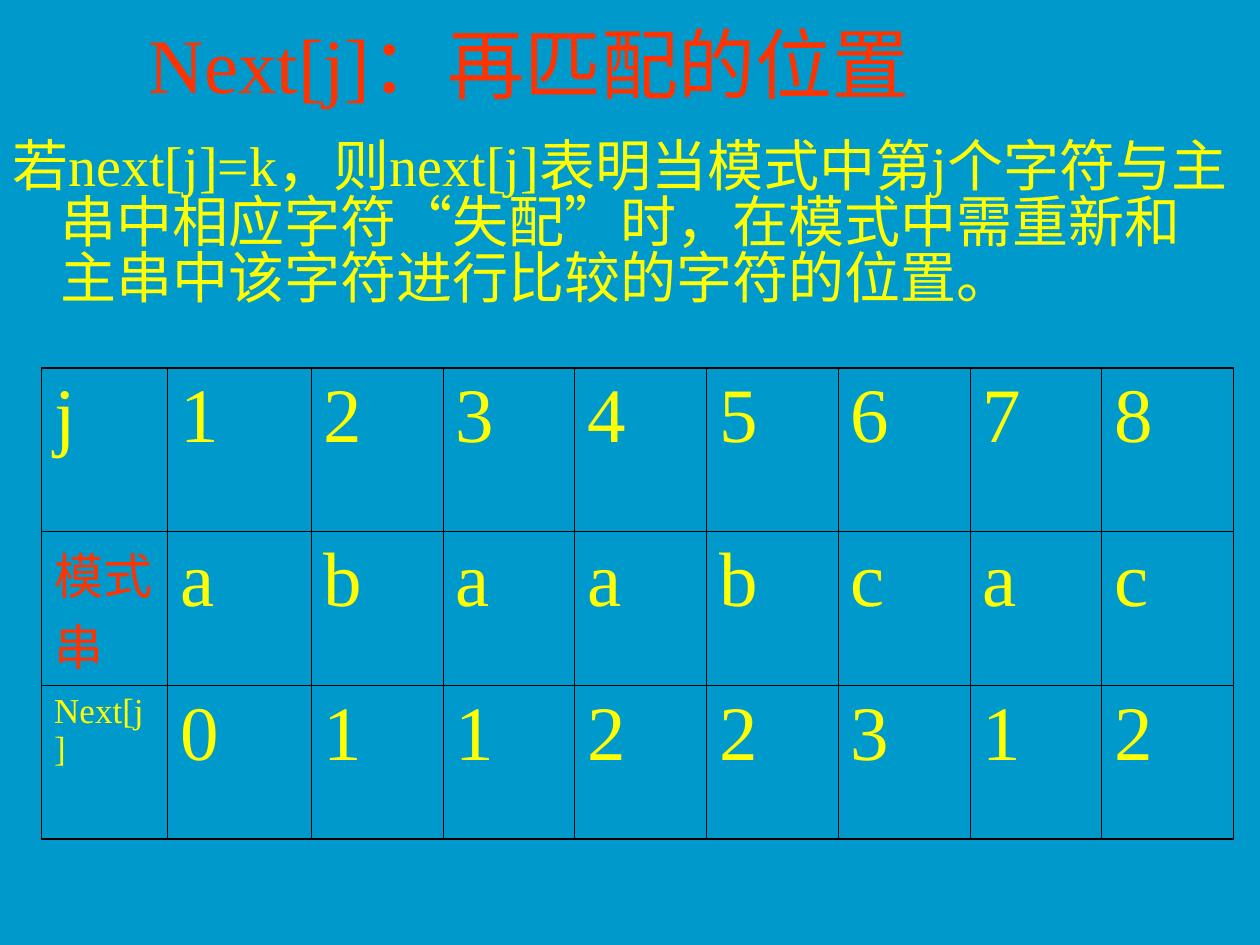
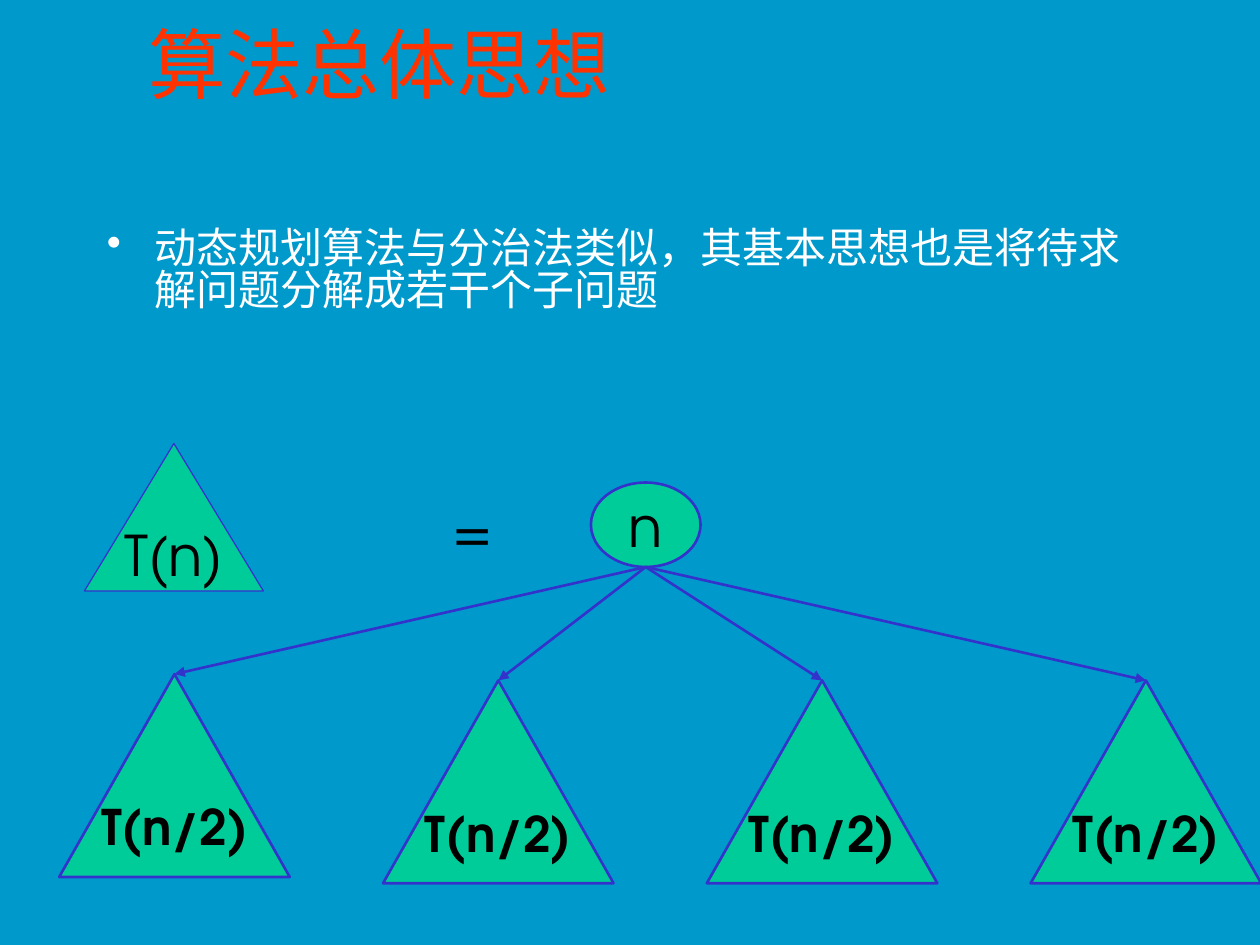
from dataclasses import dataclass

from lxml import etree
from pptx import Presentation
from pptx.dml.color import RGBColor
from pptx.enum.shapes import MSO_CONNECTOR, MSO_SHAPE
from pptx.enum.text import MSO_ANCHOR, PP_ALIGN
from pptx.oxml.ns import qn
from pptx.util import Inches, Pt

OVAL = MSO_SHAPE.OVAL
TRIANGLE = MSO_SHAPE.ISOSCELES_TRIANGLE
STRAIGHT = MSO_CONNECTOR.STRAIGHT
MIDDLE = MSO_ANCHOR.MIDDLE
TOP = MSO_ANCHOR.TOP
LEFT = PP_ALIGN.LEFT
CENTER = PP_ALIGN.CENTER


@dataclass(frozen=True)
class Theme:
    background: str = "0099CC"
    red: str = "FF3300"
    yellow: str = "FFFF00"
    white: str = "FFFFFF"
    black: str = "000000"
    green: str = "00CC99"
    blue: str = "3333CC"
    serif: str = "Times New Roman"
    chinese: str = "Noto Sans CJK SC"
    geometric: str = "TeX Gyre Adventor"
    title_size: float = 44
    lead_size: float = 32
    label_size: float = 28
    body_size: float = 24
    small_size: float = 20
    outline: float = 1.5
    thin_outline: float = 0.75
    outer_border: float = 1.08
    inner_border: float = 0.45
    body_spacing: float = 0.83
    hanging: float = 0.38


def add_child(parent, tag, **attributes):
    return etree.SubElement(parent, qn(tag), attributes)


class SlideBuilder:
    def __init__(self, deck, theme):
        self.deck = deck
        self.theme = theme
        self.page = None

    def new_page(self, title):
        self.page = self.deck.slides.add_slide(self.deck.slide_layouts[6])
        fill = self.page.background.fill
        fill.solid()
        fill.fore_color.rgb = RGBColor.from_string(self.theme.background)
        self.text(title, 1.08, 0.08, 8.5, 0.83, self.theme.title_size,
                  self.theme.red, anchor=MIDDLE)

    def fill_frame(self, frame, text, size, color, font=None, bold=False, align=LEFT):
        frame.text = text
        para = frame.paragraphs[0]
        para.alignment = align
        for span in para.runs:
            span.font.size = Pt(size)
            span.font.bold = bold
            span.font.color.rgb = RGBColor.from_string(color)
            span.font.name = font or self.theme.serif
            add_child(span._r.get_or_add_rPr(), "a:ea", typeface=self.theme.chinese)
        return para

    def text(self, text, left, top, width, height, size, color,
             font=None, align=LEFT, anchor=TOP):
        box = self.page.shapes.add_textbox(
            Inches(left), Inches(top), Inches(width), Inches(height))
        frame = box.text_frame
        frame.word_wrap = True
        frame.vertical_anchor = anchor
        return self.fill_frame(frame, text, size, color, font, align=align)

    def body(self, text, left, top, width, height, size, color,
             font=None, bullet=False):
        """Text with a hanging indent and tight lines."""
        para = self.text(text, left, top, width, height, size, color, font)
        properties = para._p.get_or_add_pPr()
        indent = Inches(self.theme.hanging)
        properties.set("marL", str(indent))
        properties.set("indent", str(-indent))
        if bullet:
            bullet_color = add_child(properties, "a:buClr")
            add_child(bullet_color, "a:srgbClr", val=color)
            add_child(properties, "a:buChar", char="•")
        para.line_spacing = self.theme.body_spacing

    def shape(self, kind, text, left, top, width, height, size,
              bold=False, outline=None):
        shape = self.page.shapes.add_shape(
            kind, Inches(left), Inches(top), Inches(width), Inches(height))
        shape.shadow.inherit = False
        shape.fill.solid()
        shape.fill.fore_color.rgb = RGBColor.from_string(self.theme.green)
        shape.line.color.rgb = RGBColor.from_string(self.theme.blue)
        shape.line.width = Pt(outline or self.theme.outline)
        frame = shape.text_frame
        frame.word_wrap = False
        frame.vertical_anchor = MIDDLE
        self.fill_frame(frame, text, size, self.theme.black, self.theme.geometric,
                        bold, CENTER)
        return shape

    def arrow(self, parent, child):
        """Arrow from the bottom of the parent to the apex of the child."""
        start_x = parent.left + parent.width // 2
        start_y = parent.top + parent.height
        line = self.page.shapes.add_connector(
            STRAIGHT, start_x, start_y, child.left + child.width // 2, child.top)
        line.end_connect(child, 0)
        line.line.color.rgb = RGBColor.from_string(self.theme.blue)
        line.line.width = Pt(self.theme.outline)
        properties = line._element.spPr
        add_child(properties.find(qn("a:ln")), "a:tailEnd", type="triangle")
        add_child(properties, "a:effectLst")

    def border(self, cell, side, width):
        line = add_child(cell._tc.get_or_add_tcPr(), "a:" + side, w=str(Pt(width)))
        fill = add_child(line, "a:solidFill")
        add_child(fill, "a:srgbClr", val=self.theme.black)

    def table(self, rows, left, top, widths, heights, heading_styles):
        """Grid of large yellow values; the first column has its own styles."""
        theme = self.theme
        frame = self.page.shapes.add_table(
            len(heights), len(widths), Inches(left), Inches(top),
            Inches(sum(widths)), Inches(sum(heights)))
        table = frame.table
        table.first_row = False
        table.horz_banding = False
        for column, width in zip(table.columns, widths):
            column.width = Inches(width)
        for row, height in zip(table.rows, heights):
            row.height = Inches(height)
        last_row, last_column = len(heights) - 1, len(widths) - 1
        for i, values in enumerate(rows):
            for j, value in enumerate(values):
                cell = table.cell(i, j)
                size, color = (theme.title_size, theme.yellow) if j else heading_styles[i]
                self.fill_frame(cell.text_frame, value, size, color)
                outer_sides = {"lnL": j == 0, "lnR": j == last_column,
                               "lnT": i == 0, "lnB": i == last_row}
                for side, is_outer in outer_sides.items():
                    self.border(cell, side, theme.outer_border if is_outer
                                else theme.inner_border)
                cell.fill.background()


def build_next_table(builder):
    theme = builder.theme
    builder.new_page("Next[j]：再匹配的位置")
    builder.body(
        "若next[j]=k，则next[j]表明当模式中第j个字符与主串中相应字符“失配”时，"
        "在模式中需重新和主串中该字符进行比较的字符的位置。",
        0, 1.08, 9.92, 1.83, theme.lead_size, theme.yellow)
    rows = [["j", *"12345678"], ["模式串", *"abaabcac"], ["Next[j]", *"01122312"]]
    first_widths = [1, 1.14]
    other_width = (9.46 - sum(first_widths)) / 7
    builder.table(
        rows, 0.33, 2.92, first_widths + [other_width] * 7, [1.3, 1.22, 1.22],
        [(theme.title_size, theme.yellow), (theme.label_size, theme.red),
         (theme.small_size, theme.yellow)])


def build_recursion_tree(builder):
    theme = builder.theme
    builder.new_page("算法总体思想")
    builder.body(
        "动态规划算法与分治法类似，其基本思想也是将待求解问题分解成若干个子问题",
        0.75, 1.78, 8.5, 4.5, theme.body_size, theme.white, theme.chinese, bullet=True)
    root = builder.shape(OVAL, "n", 4.69, 3.83, 0.87, 0.67, theme.lead_size)
    for index in range(4):
        top = 5.4 if index else 5.35
        subproblem = builder.shape(TRIANGLE, "T(n/2)", 0.47 + 2.57 * index, top,
                                   1.83, 1.61, theme.label_size, bold=True)
        builder.arrow(root, subproblem)
    builder.shape(TRIANGLE, "T(n)", 0.67, 3.52, 1.42, 1.17, theme.lead_size,
                  outline=theme.thin_outline)
    builder.text("=", 3.17, 3.88, 1.17, 0.64, theme.lead_size, theme.black,
                 theme.geometric, CENTER)


def main():
    deck = Presentation()
    deck.slide_width = Inches(10)
    deck.slide_height = Inches(7.5)
    builder = SlideBuilder(deck, Theme())
    build_next_table(builder)
    build_recursion_tree(builder)
    deck.save("out.pptx")


if __name__ == "__main__":
    main()
